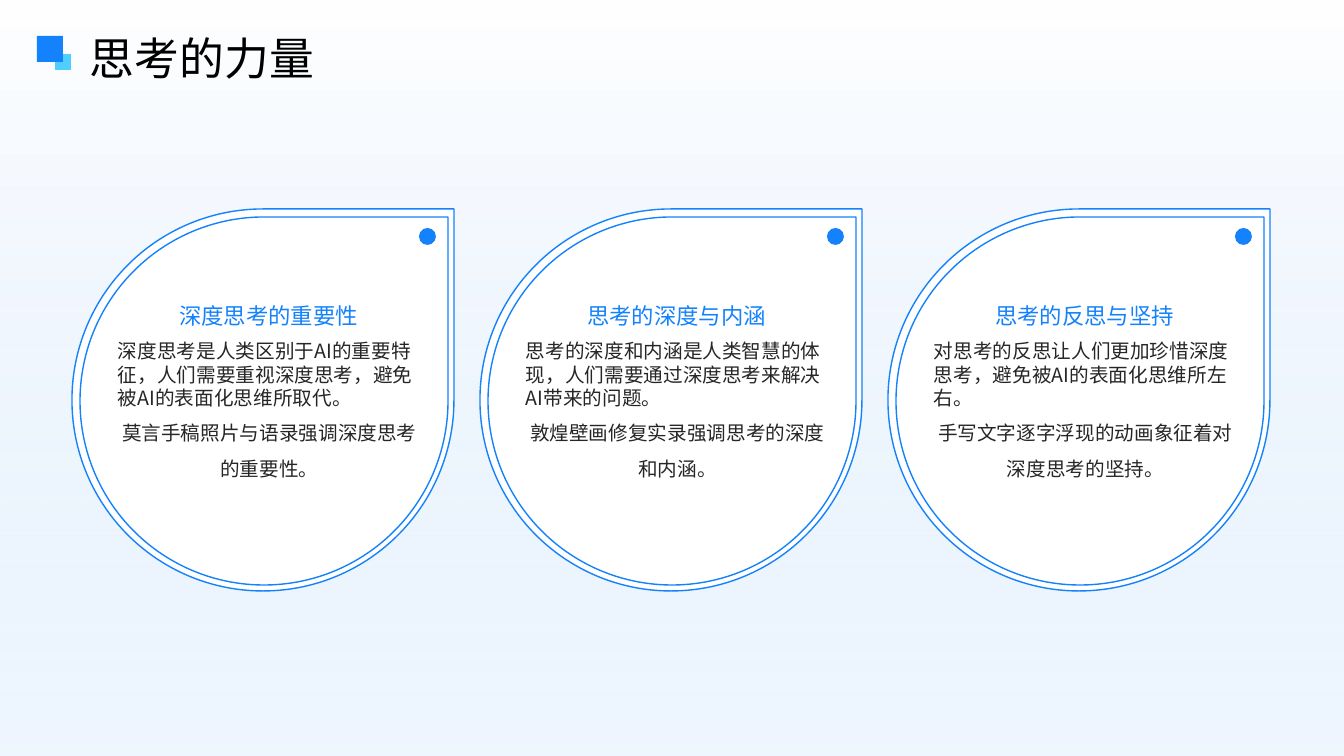
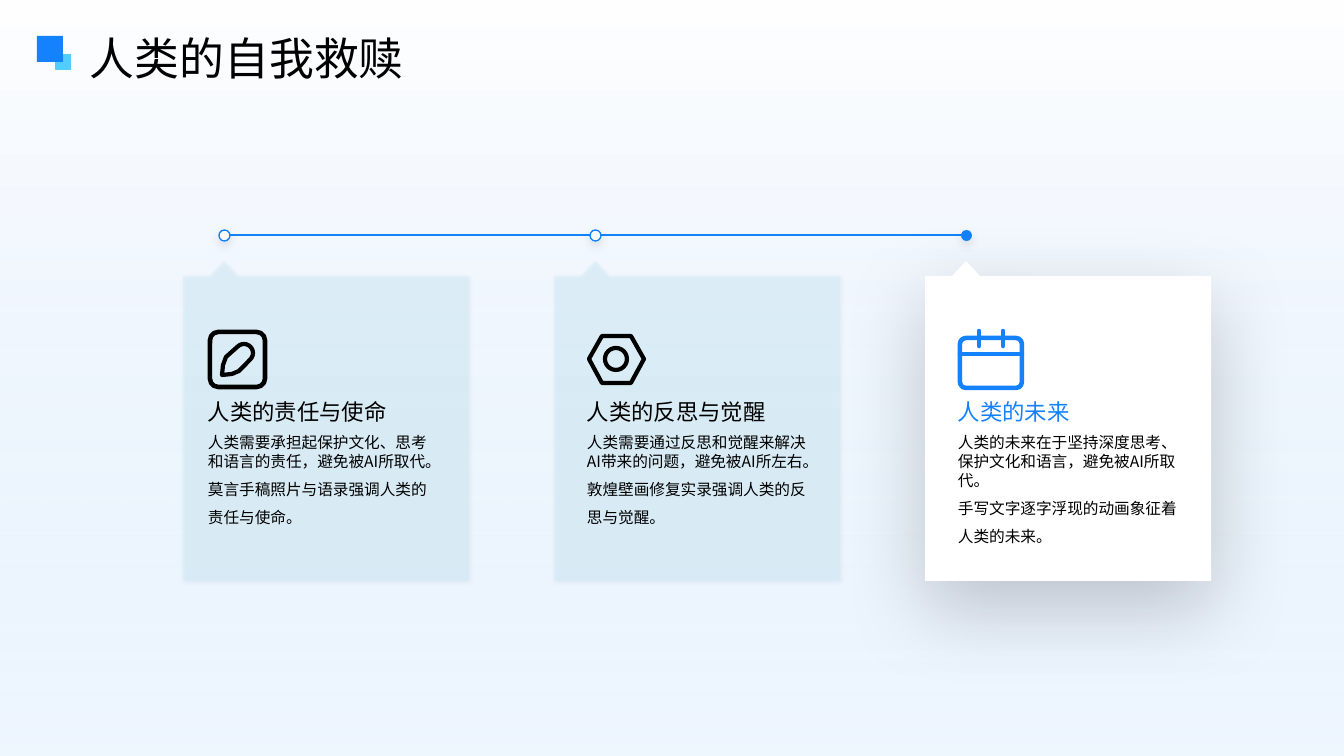
from math import cos, radians, sin

from lxml.etree import SubElement
from pptx import Presentation
from pptx.dml.color import RGBColor
from pptx.enum.shapes import MSO_CONNECTOR, MSO_SHAPE
from pptx.enum.text import MSO_ANCHOR, PP_ALIGN
from pptx.oxml.ns import qn
from pptx.util import Pt

EMU_PER_PX = 914400 / 100.8
WIDTH, HEIGHT = 1344, 756
FONT = "Noto Sans CJK SC"
COLORS = {
    "blue": "1482FC",
    "cyan": "4FCEFF",
    "sky": "D0E6FE",
    "pale": "C4EFFF",
    "white": "FFFFFF",
    "black": "000000",
    "gray": "262626",
}

POWER_TITLE = "思考的力量"
POWER_DROPS = [
    ("深度思考的重要性",
     "深度思考是人类区别于AI的重要特征，人们需要重视深度思考，避免被AI的表面化思维所取代。",
     "莫言手稿照片与语录强调深度思考的重要性。"),
    ("思考的深度与内涵",
     "思考的深度和内涵是人类智慧的体现，人们需要通过深度思考来解决AI带来的问题。",
     "敦煌壁画修复实录强调思考的深度和内涵。"),
    ("思考的反思与坚持",
     "对思考的反思让人们更加珍惜深度思考，避免被AI的表面化思维所左右。",
     "手写文字逐字浮现的动画象征着对深度思考的坚持。"),
]

REDEMPTION_TITLE = "人类的自我救赎"
REDEMPTION_CARDS = [
    {"heading": "人类的责任与使命", "text_left": 208,
     "body": ("人类需要承担起保护文化、思考和语言的责任，避免被AI所取代。",
              "莫言手稿照片与语录强调人类的责任与使命。")},
    {"heading": "人类的反思与觉醒", "text_left": 587,
     "body": ("人类需要通过反思和觉醒来解决AI带来的问题，避免被AI所左右。",
              "敦煌壁画修复实录强调人类的反思与觉醒。")},
    {"heading": "人类的未来", "text_left": 958, "active": True,
     "body": ("人类的未来在于坚持深度思考、保护文化和语言，避免被AI所取代。",
              "手写文字逐字浮现的动画象征着人类的未来。")},
]


def px(*values):
    return [round(value * EMU_PER_PX) for value in values]


def rgb(name):
    return RGBColor.from_string(COLORS[name])


def set_alpha(solid_color, percent):
    SubElement(solid_color, qn("a:alpha"), val=str(percent * 1000))


def paint(shape, fill=None, line=None, line_width=1):
    shape.shadow.inherit = False
    if fill:
        shape.fill.solid()
        shape.fill.fore_color.rgb = rgb(fill)
    else:
        shape.fill.background()
    if line:
        shape.line.color.rgb = rgb(line)
        shape.line.width = Pt(line_width)
    else:
        shape.line.fill.background()
    return shape


def add_box(slide, kind, box, **style):
    return paint(slide.shapes.add_shape(kind, *px(*box)), **style)


def add_outline(slide, points, **style):
    """Closed polygon through points given in px."""
    corners = [px(*point) for point in points]
    builder = slide.shapes.build_freeform(*corners[0])
    builder.add_line_segments(corners[1:], close=True)
    return paint(builder.convert_to_shape(), **style)


def add_line(slide, start, end, color, width):
    line = slide.shapes.add_connector(MSO_CONNECTOR.STRAIGHT, *px(*start, *end))
    line.line.color.rgb = rgb(color)
    line.line.width = Pt(width)
    line.line._get_or_add_ln().set("cap", "rnd")
    SubElement(line._element.spPr, qn("a:effectLst"))


def cast_shadow(shape, alpha, blur, distance, angle):
    """Outer black shadow; blur and distance in points, angle in degrees."""
    effects = shape._element.spPr.find(qn("a:effectLst"))
    shadow = SubElement(
        effects, qn("a:outerShdw"), blurRad=str(Pt(blur)), dist=str(Pt(distance)),
        dir=str(angle * 60000), algn="ctr", rotWithShape="0")
    color = SubElement(shadow, qn("a:srgbClr"), val=COLORS["black"])
    set_alpha(color, alpha)


def add_text(slide, box, lines, size, color, anchor=MSO_ANCHOR.TOP):
    """Text box from (text, alignment, line spacing) tuples."""
    frame = slide.shapes.add_textbox(*px(*box)).text_frame
    frame.word_wrap = True
    frame.vertical_anchor = anchor
    frame.margin_left = frame.margin_right = 0
    frame.margin_top = frame.margin_bottom = 0
    for index, (text, alignment, spacing) in enumerate(lines):
        paragraph = frame.add_paragraph() if index else frame.paragraphs[0]
        paragraph.text = text
        paragraph.alignment = alignment
        paragraph.line_spacing = spacing
        font = paragraph.runs[0].font
        font.size = Pt(size)
        font.name = FONT
        font.color.rgb = rgb(color)
        SubElement(font._element, qn("a:ea"), typeface=FONT)


def add_body(slide, box, body, size, color, closing_alignment):
    """Tight opening paragraph, then a looser closing one."""
    opening, closing = body
    add_text(slide, box, [(opening, PP_ALIGN.LEFT, Pt(size * 1.2)),
                          (closing, closing_alignment, Pt(size * 1.8))], size, color)


def add_titled_slide(presentation, title):
    slide = presentation.slides.add_slide(presentation.slide_layouts[6])
    backdrop = add_box(slide, MSO_SHAPE.RECTANGLE, (0, -4, WIDTH, HEIGHT + 4))
    backdrop.fill.gradient()
    backdrop.fill.gradient_angle = 90
    for stop, color in zip(backdrop.fill.gradient_stops, ("sky", "white")):
        stop.color.rgb = rgb(color)
    first_color = next(backdrop._element.spPr.iter(qn("a:srgbClr")))
    set_alpha(first_color, 34)

    add_box(slide, MSO_SHAPE.RECTANGLE, (55, 54, 16, 16), fill="cyan")
    add_box(slide, MSO_SHAPE.RECTANGLE, (37, 36, 26, 26), fill="blue")
    add_text(slide, (90, 29, 1193, 47), [(title, PP_ALIGN.LEFT, 1.2)], 32, "black",
             MSO_ANCHOR.MIDDLE)
    return slide


def add_rounded_icon(slide, box, corner, color):
    frame = add_box(slide, MSO_SHAPE.ROUNDED_RECTANGLE, box, line=color, line_width=3.25)
    frame.adjustments[0] = corner


def add_pencil_icon(slide):
    add_rounded_icon(slide, (210, 332, 55, 55), 0.15, "black")
    rounded_end = [(244 + 9 * cos(radians(angle)), 353 + 9 * sin(radians(angle)))
                   for angle in range(225, 406, 15)]
    points = [(222, 375), (223, 365), (226, 357), *rounded_end, (239, 371), (232, 374)]
    add_outline(slide, points, line="black", line_width=3)


def add_nut_icon(slide):
    hexagon = [(589, 359), (602, 336), (631, 336), (644, 359), (631, 383), (602, 383)]
    add_outline(slide, hexagon, line="black", line_width=3)
    add_box(slide, MSO_SHAPE.OVAL, (605, 348, 22, 22), line="black", line_width=3)


def add_calendar_icon(slide):
    add_rounded_icon(slide, (960, 338, 62, 50), 0.12, "blue")
    add_line(slide, (960, 354), (1022, 354), "blue", 3.25)
    for ring in (979, 1003):
        add_line(slide, (ring, 331), (ring, 346), "blue", 3.25)


def build_power_slide(presentation):
    slide = add_titled_slide(presentation, POWER_TITLE)
    for index, (heading, *body) in enumerate(POWER_DROPS):
        left = 72 + 408 * index
        for inset, size in ((0, 382), (8, 368)):
            add_box(slide, MSO_SHAPE.TEAR, (left + inset, 209 + inset, size, size),
                    fill="white", line="blue")
        add_box(slide, MSO_SHAPE.OVAL, (left + 347, 228, 17, 17), fill="blue")
        add_text(slide, (left + 46, 256, 301, 73), [(heading, PP_ALIGN.CENTER, 1.3)],
                 16, "blue", MSO_ANCHOR.BOTTOM)
        add_body(slide, (left + 46, 339, 303, 203), body, 14, "gray", PP_ALIGN.CENTER)


def build_redemption_slide(presentation):
    slide = add_titled_slide(presentation, REDEMPTION_TITLE)
    card_lefts = [183 + 371 * index for index in range(len(REDEMPTION_CARDS))]
    pointers = [left + 41 for left in card_lefts]
    add_line(slide, (pointers[0], 235), (pointers[-1], 235), "blue", 2)

    icons = (add_pencil_icon, add_nut_icon, add_calendar_icon)
    for card, left, pointer, add_icon in zip(REDEMPTION_CARDS, card_lefts, pointers, icons):
        active = card.get("active", False)
        dot = add_box(slide, MSO_SHAPE.OVAL, (pointer - 5, 230, 11, 11),
                      fill="blue" if active else "white", line=None if active else "blue")
        cast_shadow(dot, 11, 7, 3, 90)

        right, top, bottom = left + 286, 276, 581
        points = [(left, top), (pointer - 14, top), (pointer, 261), (pointer + 14, top),
                  (right, top), (right, bottom), (left, bottom)]
        panel = add_outline(slide, points, fill="white" if active else "pale")
        if active:
            cast_shadow(panel, 20, 60, 20, 90)
        else:
            set_alpha(panel._element.spPr.find(qn("a:solidFill"))[0], 30)
            cast_shadow(panel, 15, 3, 1, 45)

        add_icon(slide)
        text_left = card["text_left"]
        add_text(slide, (text_left, 397, 222, 30),
                 [(card["heading"], PP_ALIGN.LEFT, Pt(20))], 16,
                 "blue" if active else "black")
        add_body(slide, (text_left, 433, 221, 125), card["body"], 11.2, "black",
                 PP_ALIGN.LEFT)


def main():
    presentation = Presentation()
    presentation.slide_width, presentation.slide_height = px(WIDTH, HEIGHT)
    build_power_slide(presentation)
    build_redemption_slide(presentation)
    presentation.save("out.pptx")


if __name__ == "__main__":
    main()
